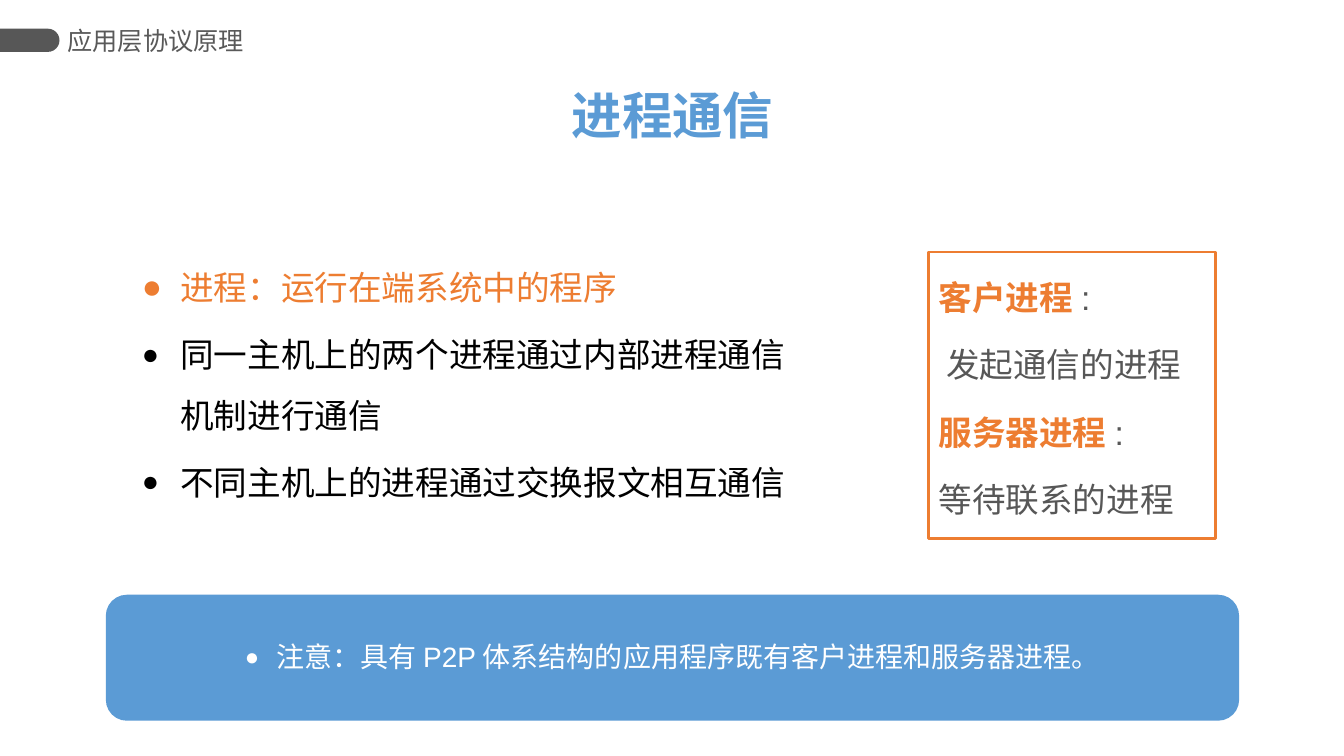
from lxml.etree import SubElement
from pptx import Presentation
from pptx.dml.color import RGBColor
from pptx.enum.shapes import MSO_SHAPE
from pptx.enum.text import MSO_ANCHOR, MSO_AUTO_SIZE, PP_ALIGN
from pptx.oxml.ns import qn
from pptx.util import Inches, Pt

BLUE, ORANGE, GRAY, BLACK, WHITE = "5B9BD5", "ED7D31", "575757", "000000", "FFFFFF"
LABEL_GRAY = "595959"


def color(hex_value):
    return RGBColor.from_string(hex_value)


def place(shape, left, top, width, height):
    box = {"left": left, "top": top, "width": width, "height": height}
    for name, length in box.items():
        setattr(shape, name, Inches(length))


def add_block(shapes, kind, box, fill=None, line=None):
    block = shapes.add_shape(kind, *map(Inches, box))
    block.shadow.inherit = False
    if fill:
        block.fill.solid()
        block.fill.fore_color.rgb = color(fill)
    else:
        block.fill.background()
    if line:
        block.line.color.rgb = color(line)
        block.line.width = Pt(2)
    else:
        block.line.fill.background()
    return block


def format_frame(frame, **values):
    settings = {"word_wrap": True, "auto_size": MSO_AUTO_SIZE.NONE,
                "vertical_anchor": MSO_ANCHOR.TOP, **values}
    for name, value in settings.items():
        setattr(frame, name, value)
    return frame


def add_run(paragraph, text, size, hex_value, bold=False):
    run = paragraph.add_run()
    run.text = text
    for name, value in {"name": "Arial", "size": Pt(size), "bold": bold}.items():
        setattr(run.font, name, value)
    run.font.color.rgb = color(hex_value)


def hang(paragraph, indent, bullet_percent=None):
    """Give a hanging indent, with a round bullet if a bullet size is given."""
    properties = paragraph._p.get_or_add_pPr()
    properties.set("marL", str(Inches(indent)))
    properties.set("indent", str(-Inches(indent)))
    if bullet_percent:
        SubElement(properties, qn("a:buSzPct")).set("val", str(bullet_percent * 1000))
        SubElement(properties, qn("a:buFont")).set("typeface", "Arial")
        SubElement(properties, qn("a:buChar")).set("char", "●")


def add_lines(frame, lines):
    """Write lines, each a bullet size and its (text, colour, bold) runs."""
    for index, (bullet_percent, runs) in enumerate(lines):
        paragraph = frame.add_paragraph() if index else frame.paragraphs[0]
        paragraph.alignment = PP_ALIGN.LEFT
        paragraph.line_spacing = 1.5
        paragraph.space_before = Pt(4.8)
        hang(paragraph, 0.38, bullet_percent)
        for text, hex_value, bold in runs:
            add_run(paragraph, text, 24, hex_value, bold)


def add_section_label(slide, left, top, width, height):
    tab_length, tab_height = 0.59, 0.23
    middle = top + height / 2
    # The tab stands upright before its quarter turn, so its sides are swapped.
    tab = add_block(slide.shapes, MSO_SHAPE.ROUND_2_SAME_RECTANGLE,
                    (left + (tab_length - tab_height) / 2, middle - tab_length / 2,
                     tab_height, tab_length), fill=GRAY)
    tab.adjustments[0] = 0.5
    tab.rotation = 90
    text_left = 0.67
    label = slide.shapes.add_textbox(
        *map(Inches, (left + text_left, top, width - text_left, height)))
    frame = format_frame(label.text_frame, vertical_anchor=MSO_ANCHOR.MIDDLE,
                         margin_left=0, margin_right=0)
    add_run(frame.paragraphs[0], "应用层协议原理", 18, LABEL_GRAY)


def add_title(slide, *box):
    title = slide.shapes.title
    place(title, *box)
    frame = format_frame(title.text_frame, word_wrap=False)
    frame.paragraphs[0].alignment = PP_ALIGN.CENTER
    add_run(frame.paragraphs[0], "进程通信", 36, BLUE, True)


def add_process_points(slide, *box):
    points = slide.shapes.add_textbox(*map(Inches, box))
    add_lines(format_frame(points.text_frame), [
        (100, [("进程：运行在端系统中的程序", ORANGE, False)]),
        (85, [("同一主机上的两个进程通过内部进程通信机制进行通信", BLACK, False)]),
        (85, [("不同主机上的进程通过交换报文相互通信", BLACK, False)]),
    ])


def add_role_box(slide, *box):
    roles = add_block(slide.shapes, MSO_SHAPE.RECTANGLE, box, line=ORANGE)
    lines = []
    for role, meaning in (("客户进程", " 发起通信的进程"),
                          ("服务器进程", "等待联系的进程")):
        lines.append((None, [(role, ORANGE, True), (":", GRAY, False)]))
        lines.append((None, [(meaning, GRAY, False)]))
    add_lines(format_frame(roles.text_frame), lines)


def add_note(slide, left, top, width, height):
    note = slide.shapes.add_group_shape()
    add_block(note.shapes, MSO_SHAPE.ROUNDED_RECTANGLE,
              (left, top, width, height), fill=BLUE)
    inset = 0.4
    message = note.shapes.add_textbox(
        *map(Inches, (left + inset, top + inset, width - 2 * inset, 0.44)))
    paragraph = format_frame(message.text_frame).paragraphs[0]
    paragraph.alignment = PP_ALIGN.CENTER
    hang(paragraph, 0.31, 85)
    add_run(paragraph, "注意：具有P2P体系结构的应用程序既有客户进程和服务器进程。", 20, WHITE)


def main():
    presentation = Presentation()
    presentation.slide_width = Inches(13.33)
    presentation.slide_height = Inches(7.5)
    slide = presentation.slides.add_slide(presentation.slide_layouts[5])
    add_section_label(slide, 0, 0.19, 3, 0.42)
    add_title(slide, 5.56, 0.78, 2.22, 0.71)
    add_process_points(slide, 1.31, 2.4, 6.76, 2.09)
    add_role_box(slide, 9.21, 2.5, 2.85, 2.84)
    add_note(slide, 1.05, 5.9, 11.24, 1.25)
    presentation.save("out.pptx")


if __name__ == "__main__":
    main()
